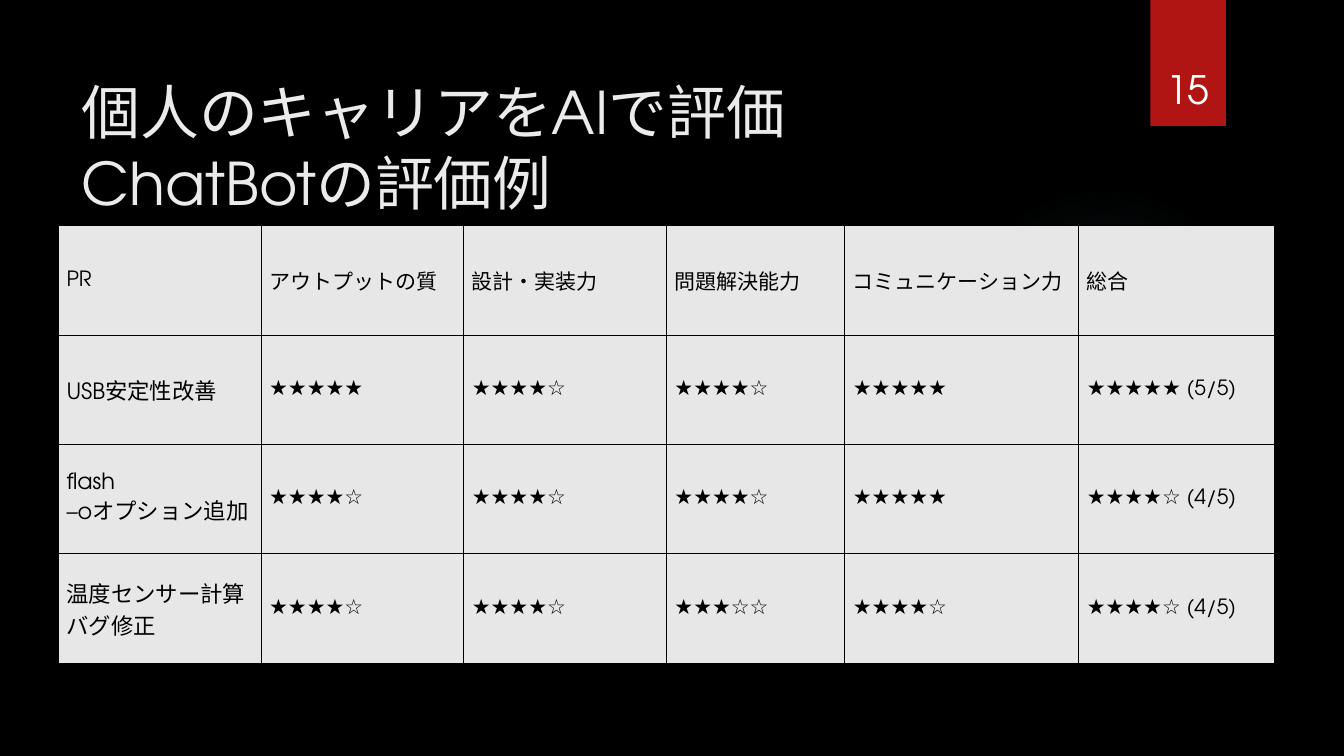
from lxml import etree
from pptx import Presentation, util as u
from pptx.dml.color import RGBColor
from pptx.enum import shapes, text
from pptx.oxml import parse_xml
from pptx.oxml.ns import nsdecls, qn

FONT = "TeX Gyre Adventor"
BLACK = RGBColor(0x00, 0x00, 0x00)
WHITE = RGBColor(0xFF, 0xFF, 0xFF)
TITLE_GRAY = RGBColor(0xEB, 0xEB, 0xEB)
CELL_GRAY = RGBColor(0xE7, 0xE7, 0xE7)
RED = RGBColor(0xB0, 0x15, 0x13)
TEAL = RGBColor(0x50, 0xB9, 0xC1)

TITLE = "個人のキャリアをAIで評価\nChatBotの評価例"
HEADERS = ["PR", "アウトプットの質", "設計・実装力", "問題解決能力", "コミュニケーション力", "総合"]
RATINGS = [
    ("USB安定性改善", [5, 4, 4, 5], 5),
    ("flash \n–oオプション追加", [4, 4, 4, 5], 4),
    ("温度センサー計算バグ修正", [4, 4, 3, 4], 4),
]
COLUMN_WIDTHS = [2.01, 2.01, 2.01, 1.77, 2.32, 1.94]
ROW_HEIGHT = 1.085


def write(frame, words, size, color, align=text.PP_ALIGN.LEFT, anchor=text.MSO_ANCHOR.MIDDLE, after=0):
    """Fill a text frame with one formatted paragraph, breaking at newlines."""
    frame.word_wrap = True
    frame.vertical_anchor = anchor
    para = frame.paragraphs[0]
    para.alignment = align
    para.space_after = u.Pt(after)
    for index, line in enumerate(words.split("\n")):
        if index:
            para.add_line_break()
        span = para.add_run()
        span.text = line
        span.font.name = FONT
        span.font.size = u.Pt(size)
        span.font.color.rgb = color


def add_plain_shape(page, kind, left, top, width, height):
    """Add a preset shape without line or shadow."""
    shape = page.shapes.add_shape(kind, *map(u.Inches, (left, top, width, height)))
    shape.shadow.inherit = False
    shape.line.fill.background()
    return shape


def add_glow(page, left, top, size):
    """Add the faint round glow behind the content."""
    glow = add_plain_shape(page, shapes.MSO_SHAPE.OVAL, left, top, size, size)
    stops = "".join(
        f'<a:gs pos="{place * 1000}"><a:srgbClr val="{TEAL}">'
        f'<a:alpha val="{alpha * 1000}"/></a:srgbClr></a:gs>'
        for place, alpha in [(0, 7), (36, 6), (69, 0)])
    gradient = parse_xml(
        f'<a:gradFill {nsdecls("a")}><a:gsLst>{stops}</a:gsLst><a:path path="circle">'
        '<a:fillToRect l="50000" t="50000" r="50000" b="50000"/></a:path></a:gradFill>')
    glow.element.spPr.find(qn("a:prstGeom")).addnext(gradient)


def add_text(page, left, top, width, height, words, **style):
    """Add a text box holding the given words."""
    box = page.shapes.add_textbox(*map(u.Inches, (left, top, width, height)))
    write(box.text_frame, words, **style)


def add_page_tab(page, left, width, height, number):
    """Add the red tab at the top edge with the page number."""
    tab = add_plain_shape(page, shapes.MSO_SHAPE.RECTANGLE, left, 0, width, height)
    tab.fill.solid()
    tab.fill.fore_color.rgb = RED
    add_text(page, left - 0.09, height - 0.93, width + 0.17, 0.84, number, size=28, color=WHITE,
             align=text.PP_ALIGN.CENTER, anchor=text.MSO_ANCHOR.BOTTOM, after=6)


def style_cell(cell):
    """Give a cell its fill, margins and thin black borders."""
    cell.margin_left = cell.margin_right = u.Inches(0.08)
    cell.margin_top = cell.margin_bottom = u.Inches(0.04)
    cell.vertical_anchor = text.MSO_ANCHOR.MIDDLE
    properties = cell._tc.get_or_add_tcPr()
    for side in ("lnL", "lnR", "lnT", "lnB"):
        border = etree.SubElement(properties, qn(f"a:{side}"), w=str(u.Pt(1)))
        fill = etree.SubElement(border, qn("a:solidFill"))
        etree.SubElement(fill, qn("a:srgbClr"), val=str(BLACK))
    cell.fill.solid()
    cell.fill.fore_color.rgb = CELL_GRAY


def stars(score):
    """Return a five-star rating."""
    return "★" * score + "☆" * (5 - score)


def add_rating_table(page, left, top):
    """Add the table of star ratings."""
    rows = [HEADERS] + [
        [name, *map(stars, scores), f"{stars(total)} ({total}/5)"]
        for name, scores, total in RATINGS]
    frame = page.shapes.add_table(
        len(rows), len(HEADERS), u.Inches(left), u.Inches(top),
        u.Inches(sum(COLUMN_WIDTHS)), u.Inches(ROW_HEIGHT * len(rows)))
    table = frame.table
    for column, width in zip(table.columns, COLUMN_WIDTHS):
        column.width = u.Inches(width)
    for row_index, row in enumerate(rows):
        for column_index, words in enumerate(row):
            cell = table.cell(row_index, column_index)
            is_name = row_index > 0 and column_index == 0
            write(cell.text_frame, words, size=16 if is_name else 15, color=BLACK)
            style_cell(cell)


def build_rating_slide(deck):
    """Add the slide with the career ratings."""
    page = deck.slides.add_slide(deck.slide_layouts[6])
    page.background.fill.solid()
    page.background.fill.fore_color.rgb = BLACK
    add_glow(page, 9.41, 1.83, 3.08)
    add_page_tab(page, 11.41, 0.75, 1.25, "15")
    add_text(page, 0.71, 0.69, 9.7, 1.52, TITLE, size=42, color=TITLE_GRAY)
    add_rating_table(page, 0.58, 2.24)


def main():
    """Build and save the deck."""
    deck = Presentation()
    deck.slide_width = u.Inches(13.33)
    deck.slide_height = u.Inches(7.5)
    build_rating_slide(deck)
    deck.save("out.pptx")


if __name__ == "__main__":
    main()
